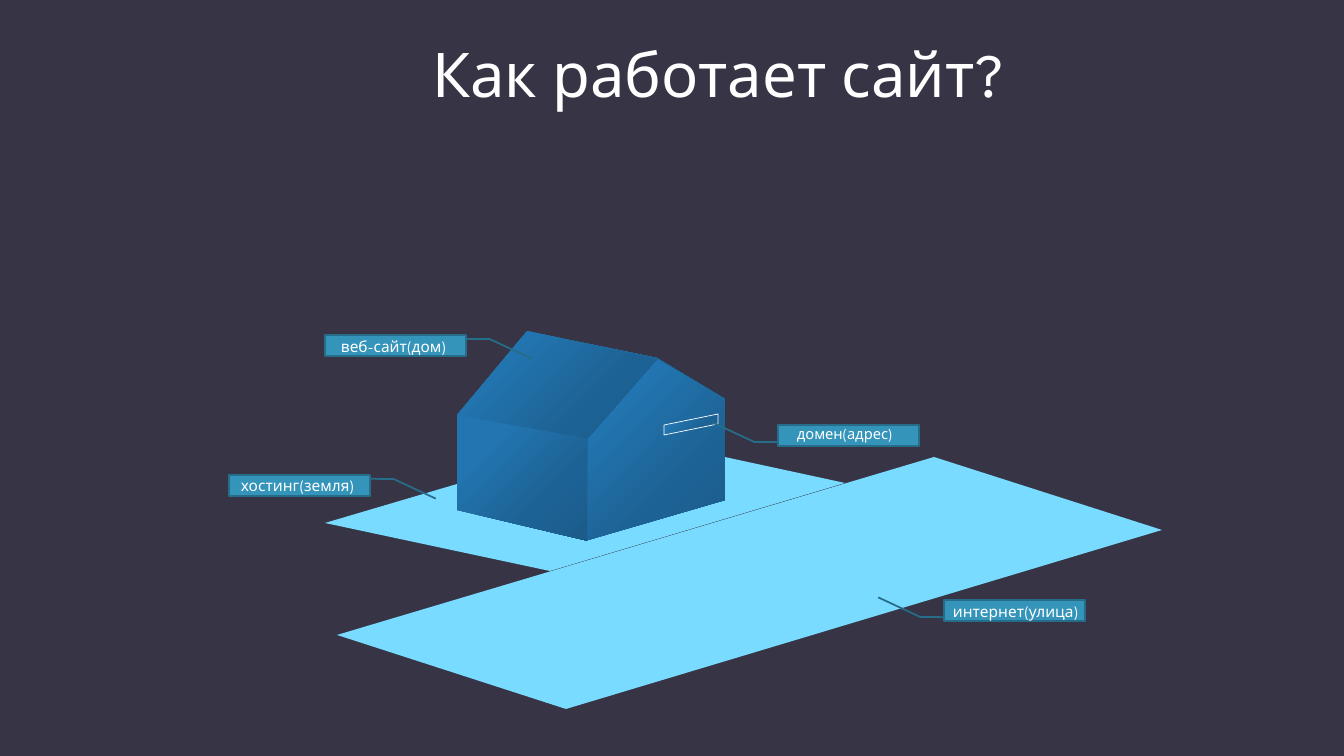
"""Build a slide that explains a website as a house on a street."""
from copy import deepcopy

from pptx import Presentation
from pptx.dml.color import RGBColor
from pptx.enum.shapes import MSO_SHAPE
from pptx.enum.text import MSO_ANCHOR, MSO_AUTO_SIZE, PP_ALIGN
from pptx.oxml.ns import qn
from pptx.util import Emu, Pt

CALLOUT = MSO_SHAPE.LINE_CALLOUT_2
TOP = MSO_ANCHOR.TOP
NO_FIT = MSO_AUTO_SIZE.NONE
LEFT, CENTER = PP_ALIGN.LEFT, PP_ALIGN.CENTER

PAGE_WIDTH, PAGE_HEIGHT = 12192000, 6858000
SCALE = PAGE_WIDTH / 1344
FONT = "League Spartan"

NIGHT = RGBColor(0x37, 0x35, 0x45)
WHITE = RGBColor(0xFF, 0xFF, 0xFF)
GROUND = RGBColor(0x79, 0xDB, 0xFF)
LABEL_FILL = RGBColor(0x34, 0x94, 0xBA)
LABEL_LINE = RGBColor(0x26, 0x6D, 0x8A)
WALL_LIGHT = RGBColor(0x22, 0x75, 0xB0)
WALL_MIDDLE = RGBColor(0x1D, 0x62, 0x94)
WALL_DARK = RGBColor(0x1B, 0x5C, 0x8B)
WALL_STOPS = [(0, WALL_LIGHT), (0.23, WALL_LIGHT), (0.69, WALL_MIDDLE), (0.97, WALL_DARK)]

LAND = [(325, 523), (623, 435), (845, 483), (550, 571)]
STREET = [(337, 635), (934, 457), (1162, 530), (566, 709)]
SIDE_WALL = [(457, 414), (588, 438), (588, 541), (457, 510)]
BACK_ROOF = [(527, 331), (576, 371), (725, 399), (657, 358)]
FRONT_WALL = [(588, 438), (657, 359), (725, 399), (725, 500), (588, 540)]
ROOF = [(457, 415), (527, 331), (657, 359), (588, 438)]
ADDRESS_SIGN = [(664, 435), (664, 425), (718, 414), (718, 424)]

LABEL_WIDTH, LABEL_HEIGHT = 141, 21
LEADER = [0.182, 0.002, 0.188, -0.167, 1.125, -0.467]
LABELS = [
    ("домен(адрес)", 10.5, (778, 425), (787, 420), 0),
    ("веб-сайт(дом)", 11, (325, 335), (331, 332), 180),
    ("хостинг(земля)", 11, (229, 475), (231, 471), 180),
    ("интернет(улица)", 11, (944, 600), (943, 597), 0),
]


def px(length):
    """Turn a pixel length into EMU."""
    return Emu(round(length * SCALE))


def write_text(box, text, size, align):
    """Put one formatted line of text into a box."""
    frame = box.text_frame
    settings = {"word_wrap": True, "auto_size": NO_FIT, "vertical_anchor": TOP}
    for name, value in settings.items():
        setattr(frame, name, value)
    para = frame.paragraphs[0]
    para.alignment = align
    span = para.add_run()
    span.text = text
    for name, value in {"name": FONT, "size": Pt(size)}.items():
        setattr(span.font, name, value)
    span.font.color.rgb = WHITE


def add_title(page, text):
    """Place the page title in its placeholder."""
    title = page.shapes.title
    position = {"left": 287, "top": 31, "width": 862, "height": 84}
    for name, value in position.items():
        setattr(title, name, px(value))
    write_text(title, text, 44, CENTER)


def add_outline(page, points):
    """Draw a closed borderless polygon."""
    builder = page.shapes.build_freeform(*points[0], scale=SCALE)
    builder.add_line_segments(points[1:], close=True)
    shape = builder.convert_to_shape()
    shape.shadow.inherit = False
    shape.line.fill.background()
    return shape


def add_ground(page, points):
    """Draw a flat piece of ground."""
    shape = add_outline(page, points)
    shape.fill.solid()
    shape.fill.fore_color.rgb = GROUND


def add_house_face(page, points):
    """Draw one shaded face of the house."""
    shape = add_outline(page, points)
    shape.fill.gradient()
    shape.fill.gradient_angle = 315
    stop_list = shape.element.spPr.find(qn("a:gradFill")).find(qn("a:gsLst"))
    for stop in list(stop_list):
        stop_list.append(deepcopy(stop))
    for stop, (position, color) in zip(shape.fill.gradient_stops, WALL_STOPS):
        stop.position = position
        stop.color.rgb = color
    return shape


def add_label(page, text, size, corner, text_corner, rotation):
    """Add a callout with its leader line and caption."""
    left, top = corner
    callout = page.shapes.add_shape(
        CALLOUT, px(left), px(top), px(LABEL_WIDTH), px(LABEL_HEIGHT))
    callout.shadow.inherit = False
    callout.rotation = rotation
    callout.element.spPr.find(qn("a:xfrm")).set("flipV", "1")
    for index, value in enumerate(LEADER):
        callout.adjustments[index] = value
    callout.fill.solid()
    callout.fill.fore_color.rgb = LABEL_FILL
    callout.line.color.rgb = LABEL_LINE
    callout.line.width = Pt(1.25)
    left, top = text_corner
    caption = page.shapes.add_textbox(px(left), px(top), px(157), px(29))
    write_text(caption, text, size, LEFT)


def main():
    """Build and save the deck."""
    deck = Presentation()
    deck.slide_width, deck.slide_height = PAGE_WIDTH, PAGE_HEIGHT
    page = deck.slides.add_slide(deck.slide_layouts.get_by_name("Title Only"))
    page.background.fill.solid()
    page.background.fill.fore_color.rgb = NIGHT

    add_title(page, "Как работает сайт?")
    add_ground(page, LAND)
    for face in (SIDE_WALL, BACK_ROOF, FRONT_WALL, ROOF):
        add_house_face(page, face)
    add_ground(page, STREET)
    sign = add_house_face(page, ADDRESS_SIGN)
    sign.line.color.rgb = WHITE
    sign.line.width = Pt(0.5)
    for label in LABELS:
        add_label(page, *label)
    deck.save("out.pptx")


if __name__ == "__main__":
    main()
